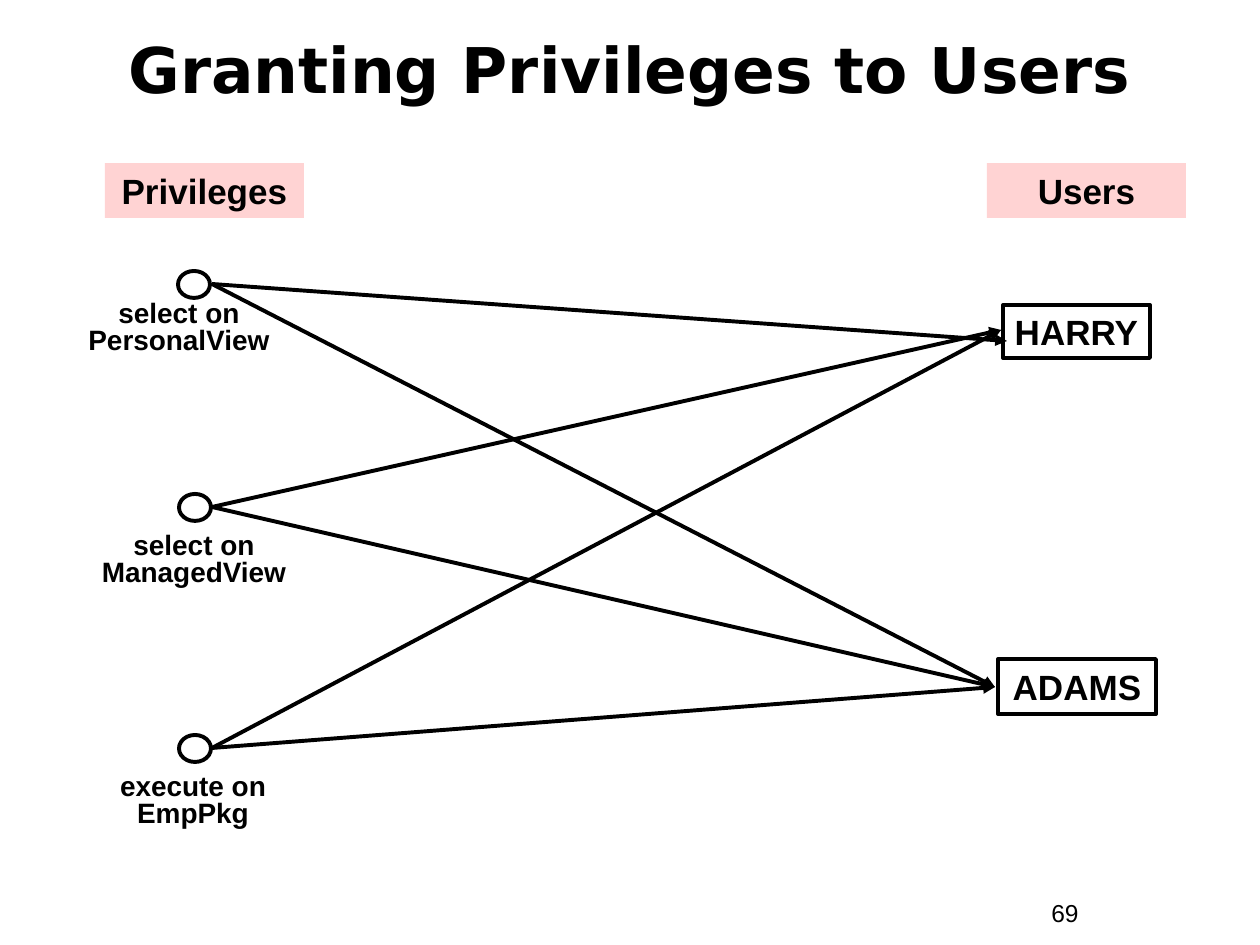
import copy

import pptx
import pptx.dml.color
import pptx.enum.shapes
import pptx.enum.text
import pptx.oxml
import pptx.oxml.ns
import pptx.util

BLACK = pptx.dml.color.RGBColor(0x00, 0x00, 0x00)
PINK = pptx.dml.color.RGBColor(0xFF, 0xD3, 0xD3)
SHAPE = pptx.enum.shapes.MSO_SHAPE
ANCHOR = pptx.enum.text.MSO_ANCHOR
ALIGN = pptx.enum.text.PP_ALIGN
EMU_PER_PX = 914400 / 126


def px(*values):
    return [pptx.util.Emu(round(v * EMU_PER_PX)) for v in values]


class Diagram:
    """Holds the style and the slide being drawn."""

    line_width = pptx.util.Pt(2.25)
    formats = {
        "title": {"name": "DejaVu Sans", "size": pptx.util.Pt(36), "bold": True},
        "box": {"name": "Arial", "size": pptx.util.Pt(20), "bold": True},
        "caption": {"name": "Arial", "size": pptx.util.Pt(16), "bold": True},
        "number": {"name": "Arial", "size": pptx.util.Pt(14), "bold": False},
    }

    def __init__(self, prs):
        self.s = prs.slides.add_slide(prs.slide_layouts[5])

    def set_text(self, sp, text, style, align=ALIGN.CENTER, anchor=ANCHOR.TOP,
                 wrap=True, spacing=None):
        tf = sp.text_frame
        frame = {"auto_size": pptx.enum.text.MSO_AUTO_SIZE.NONE,
                 "word_wrap": wrap, "vertical_anchor": anchor}
        for name, value in frame.items():
            setattr(tf, name, value)
        p = tf.paragraphs[0]
        p.text = text
        p.alignment = align
        p.line_spacing = spacing
        for r in p.runs:
            for name, value in self.formats[style].items():
                setattr(r.font, name, value)
            r.font.color.rgb = BLACK
        # Line breaks take the size of the text around them
        for br in p._p.findall(pptx.oxml.ns.qn("a:br")):
            br.append(copy.deepcopy(p.runs[0]._r.rPr))

    def title(self, text, *box):
        sp = self.s.shapes.title
        sp.left, sp.top, sp.width, sp.height = px(*box)
        self.set_text(sp, text, "title", anchor=ANCHOR.MIDDLE)

    def text(self, text, style, *box, **layout):
        self.set_text(self.s.shapes.add_textbox(*px(*box)), text, style, **layout)

    def shape(self, kind, *box, fill=None):
        sp = self.s.shapes.add_shape(kind, *px(*box))
        sp.shadow.inherit = False
        if fill is None:
            sp.fill.background()
            sp.line.color.rgb = BLACK
            sp.line.width = self.line_width
        else:
            sp.fill.solid()
            sp.fill.fore_color.rgb = fill
            sp.line.fill.background()
        return sp

    def heading(self, text, *box):
        self.set_text(self.shape(SHAPE.RECTANGLE, *box, fill=PINK), text, "box")

    def user(self, text, *box):
        self.set_text(self.shape(SHAPE.RECTANGLE, *box), text, "box",
                      anchor=ANCHOR.MIDDLE, wrap=False)

    def arrow(self, start, end):
        c = self.s.shapes.add_connector(
            pptx.enum.shapes.MSO_CONNECTOR.STRAIGHT, *px(*start, *end))
        c.line.color.rgb = BLACK
        c.line.width = self.line_width
        spPr = c._element.spPr
        ln = spPr.find(pptx.oxml.ns.qn("a:ln"))
        ln.append(ln.makeelement(pptx.oxml.ns.qn("a:tailEnd"), {"type": "triangle"}))
        spPr.append(spPr.makeelement(pptx.oxml.ns.qn("a:effectLst"), {}))


def main():
    prs = pptx.Presentation()
    prs.slide_width, prs.slide_height = px(1260, 945)
    d = Diagram(prs)

    # Title and column headings
    d.title("Granting Privileges to Users", 94, 42, 1071, 53)
    for text, left in (("Privileges", 105), ("Users", 987)):
        d.heading(text, left, 163, 199, 55)

    # Arrows from each privilege to both users
    harry, adams = (1001, 330), (995, 687)
    for y, first_tip in ((284, (1007, 341)), (507, harry), (748, harry)):
        for tip in (first_tip, adams):
            d.arrow((212, y), tip)

    # Privileges: node and caption
    privileges = (
        ("select on\vPersonalView", 178, 271, 53, 296),
        ("select on\vManagedView", 179, 494, 68, 528),
        ("execute on\vEmpPkg", 179, 735, 67, 769),
    )
    for text, node_x, node_y, text_x, text_y in privileges:
        d.shape(SHAPE.OVAL, node_x, node_y, 32, 27)
        d.text(text, "caption", text_x, text_y, 252, 67, spacing=0.8)

    # Users
    d.user("HARRY", 1003, 305, 147, 53)
    d.user("ADAMS", 998, 659, 158, 55)

    # Page number
    d.text("69", "number", 1039, 892, 116, 43, align=ALIGN.LEFT)

    prs.save("out.pptx")


if __name__ == "__main__":
    main()
